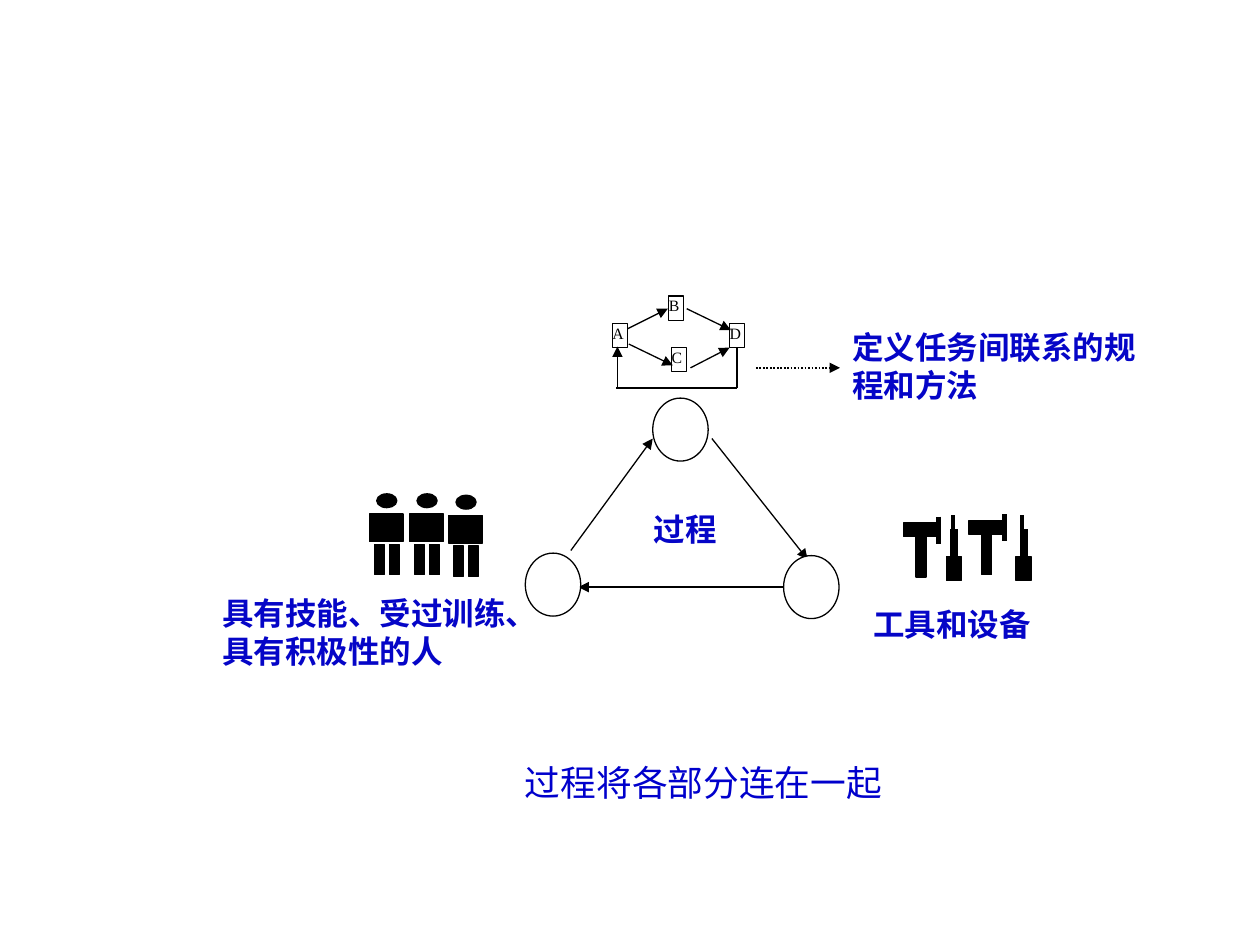
from dataclasses import dataclass

import pptx
import pptx.dml.color
import pptx.enum.dml
import pptx.enum.shapes
import pptx.enum.text
import pptx.oxml
import pptx.oxml.ns
import pptx.util

Pt = pptx.util.Pt
Preset = pptx.enum.shapes.MSO_SHAPE
Align = pptx.enum.text.PP_ALIGN
FONT = "Times New Roman"
BLACK, WHITE, BLUE, CAPTION_BLUE = "000000", "FFFFFF", "0505C7", "0000CC"
THIN = 0.74


@dataclass
class Line:
    """A straight line, with an optional arrowhead at its end."""
    x1: float
    y1: float
    x2: float
    y2: float
    width: float = THIN
    arrow: bool = True
    dotted: bool = False


@dataclass
class Label:
    """A bold blue text with its box."""
    text: str
    left: float
    top: float
    width: float
    height: float


def rgb(value: str) -> pptx.dml.color.RGBColor:
    """Turn a hex string into a colour."""
    return pptx.dml.color.RGBColor.from_string(value)


def set_font(paragraph, size: float, color: str, bold: bool = False) -> None:
    """Set the font of a whole paragraph."""
    paragraph.font.name = FONT
    paragraph.font.size = Pt(size)
    paragraph.font.bold = bold
    paragraph.font.color.rgb = rgb(color)


def add_line(slide, line: Line) -> None:
    """Draw a line or arrow."""
    points = (Pt(value) for value in (line.x1, line.y1, line.x2, line.y2))
    connector = slide.shapes.add_connector(
        pptx.enum.shapes.MSO_CONNECTOR.STRAIGHT, *points)
    connector.line.width = Pt(line.width)
    connector.line.color.rgb = rgb(BLACK)
    if line.dotted:
        connector.line.dash_style = pptx.enum.dml.MSO_LINE.ROUND_DOT
    properties = connector._element.spPr
    if line.arrow:
        outline = properties.find(pptx.oxml.ns.qn("a:ln"))
        outline.append(pptx.oxml.parse_xml(
            f'<a:tailEnd {pptx.oxml.ns.nsdecls("a")} type="triangle"/>'))
    properties.append(pptx.oxml.parse_xml(
        f'<a:effectLst {pptx.oxml.ns.nsdecls("a")}/>'))


def add_figure(slide, preset, left: float, top: float, width: float,
               height: float, fill: str = BLACK):
    """Draw a filled preset shape with a thin black outline."""
    shape = slide.shapes.add_shape(
        preset, Pt(left), Pt(top), Pt(width), Pt(height))
    shape.shadow.inherit = False
    shape.fill.solid()
    shape.fill.fore_color.rgb = rgb(fill)
    shape.line.color.rgb = rgb(BLACK)
    shape.line.width = Pt(THIN)
    return shape


def add_task(slide, letter: str, left: float, top: float) -> None:
    """Draw a small lettered task box."""
    frame = add_figure(
        slide, Preset.RECTANGLE, left, top, 8.6, 13.8, WHITE).text_frame
    frame.margin_left = frame.margin_right = 0
    frame.margin_top = frame.margin_bottom = 0
    frame.vertical_anchor = pptx.enum.text.MSO_ANCHOR.TOP
    paragraph = frame.paragraphs[0]
    paragraph.text = letter
    paragraph.alignment = Align.JUSTIFY
    set_font(paragraph, 9, BLACK)


def add_person(slide, left: float, top: float) -> None:
    """Draw a person: head, body and two legs."""
    add_figure(slide, Preset.OVAL, left + 4.3, top, 11.5, 7.9)
    add_figure(slide, Preset.RECTANGLE, left, top + 11.5, 19.4, 15.8)
    for offset in (2.9, 11.5):
        add_figure(slide, Preset.RECTANGLE, left + offset, top + 29, 5.8, 17.3)


def add_hammer(slide, left: float, top: float) -> None:
    """Draw a hammer: head, handle and striking face."""
    add_figure(slide, Preset.RECTANGLE, left, top + 3.6, 20.9, 7.9)
    add_figure(slide, Preset.RECTANGLE, left + 7.2, top + 11.5, 5.8, 23)
    face = left + 20.2
    add_line(slide, Line(face, top, face, top + 15.4, 3, arrow=False))


def add_screwdriver(slide, left: float, top: float) -> None:
    """Draw a screwdriver: grip, shaft and tip."""
    add_figure(slide, Preset.RECTANGLE, left, top + 23.7, 8.6, 13.7)
    shaft, tip = left + 4.6, left + 3.7
    add_line(slide, Line(shaft, top + 23.7, shaft, top + 8, 4.5, arrow=False))
    add_line(slide, Line(tip, top + 8, tip, top, 2.25, arrow=False))


def add_label(slide, label: Label) -> None:
    """Write a bold blue label."""
    box = slide.shapes.add_textbox(
        Pt(label.left), Pt(label.top), Pt(label.width), Pt(label.height))
    box.text_frame.word_wrap = True
    paragraph = box.text_frame.paragraphs[0]
    paragraph.text = label.text
    set_font(paragraph, 18, BLUE, bold=True)


def write_caption(slide, text: str) -> None:
    """Write the caption in the body placeholder."""
    body = slide.placeholders[1]
    body.left, body.top, body.width, body.height = (
        Pt(90), Pt(437.8), Pt(624), Pt(48))
    paragraph = body.text_frame.paragraphs[0]
    paragraph.text = text
    paragraph.alignment = Align.CENTER
    paragraph.line_spacing = 0.7
    paragraph.space_before = Pt(15)
    set_font(paragraph, 20.4, CAPTION_BLUE)
    properties = paragraph._p.get_or_add_pPr()
    properties.set("marL", "0")
    properties.set("indent", "0")
    properties.append(pptx.oxml.parse_xml(
        f'<a:buNone {pptx.oxml.ns.nsdecls("a")}/>'))
    # The schema puts the bullet ahead of the default run properties.
    properties.append(properties.find(pptx.oxml.ns.qn("a:defRPr")))


TASKS = [("B", 382.2, 169.2), ("A", 349.9, 185), ("D", 416.9, 185),
         ("C", 383.8, 198.7)]
TASK_LINES = [
    Line(392.4, 176.4, 417.6, 188.6), Line(394.6, 210.2, 416.9, 198.7),
    Line(359.3, 196.6, 384.5, 208.8), Line(358.6, 187.9, 381.6, 176.4),
    Line(421.2, 198.7, 421.2, 221.8, arrow=False),
    Line(421.2, 221.8, 352.1, 221.8, arrow=False),
    Line(352.8, 221.4, 352.8, 198)]
TRIANGLE_LINES = [
    Line(326.2, 314.6, 373, 250.6), Line(406.8, 250.6, 461.5, 319.7),
    Line(447.8, 335.5, 330.5, 335.5)]
CIRCLES = [(373, 227.5), (300.2, 316.1), (447.8, 317.5)]
PEOPLE = [(256.3, 283), (234, 282.2), (211, 282.2)]
HAMMERS = [(516.2, 295.2), (553.7, 294)]
SCREWDRIVERS = [(540.7, 294.5), (580.5, 294.5)]
LABELS = [
    Label("过程", 366.5, 288, 89.3, 28.8),
    Label("具有技能、受过训练、具有积极性的人", 120, 336.2, 180, 50.4),
    Label("工具和设备", 492, 342, 126, 28.8),
    Label("定义任务间联系的规程和方法", 480, 183.8, 180, 50.4)]

presentation = pptx.Presentation()
presentation.slide_width, presentation.slide_height = Pt(720), Pt(540)
slide = presentation.slides.add_slide(presentation.slide_layouts[1])
title = slide.shapes.title._element
title.getparent().remove(title)

for task in TASKS:
    add_task(slide, *task)
for line in TASK_LINES + TRIANGLE_LINES:
    add_line(slide, line)
for left, top in CIRCLES:
    add_figure(slide, Preset.OVAL, left, top, 31.7, 36, WHITE)
for draw, places in ((add_person, PEOPLE), (add_hammer, HAMMERS),
                     (add_screwdriver, SCREWDRIVERS)):
    for left, top in places:
        draw(slide, left, top)
for label in LABELS:
    add_label(slide, label)
add_line(slide, Line(432, 210.2, 480, 210.2, 1, dotted=True))
write_caption(slide, "过程将各部分连在一起")
presentation.save("out.pptx")
